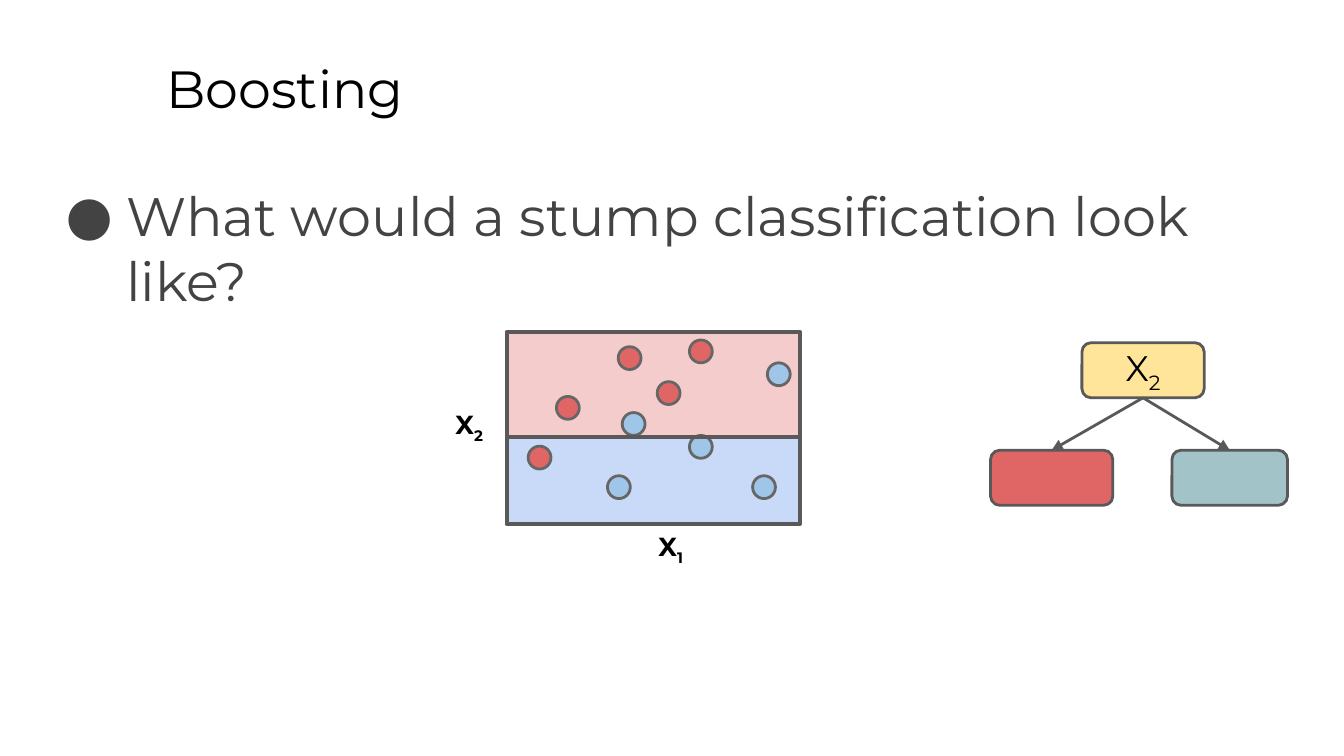
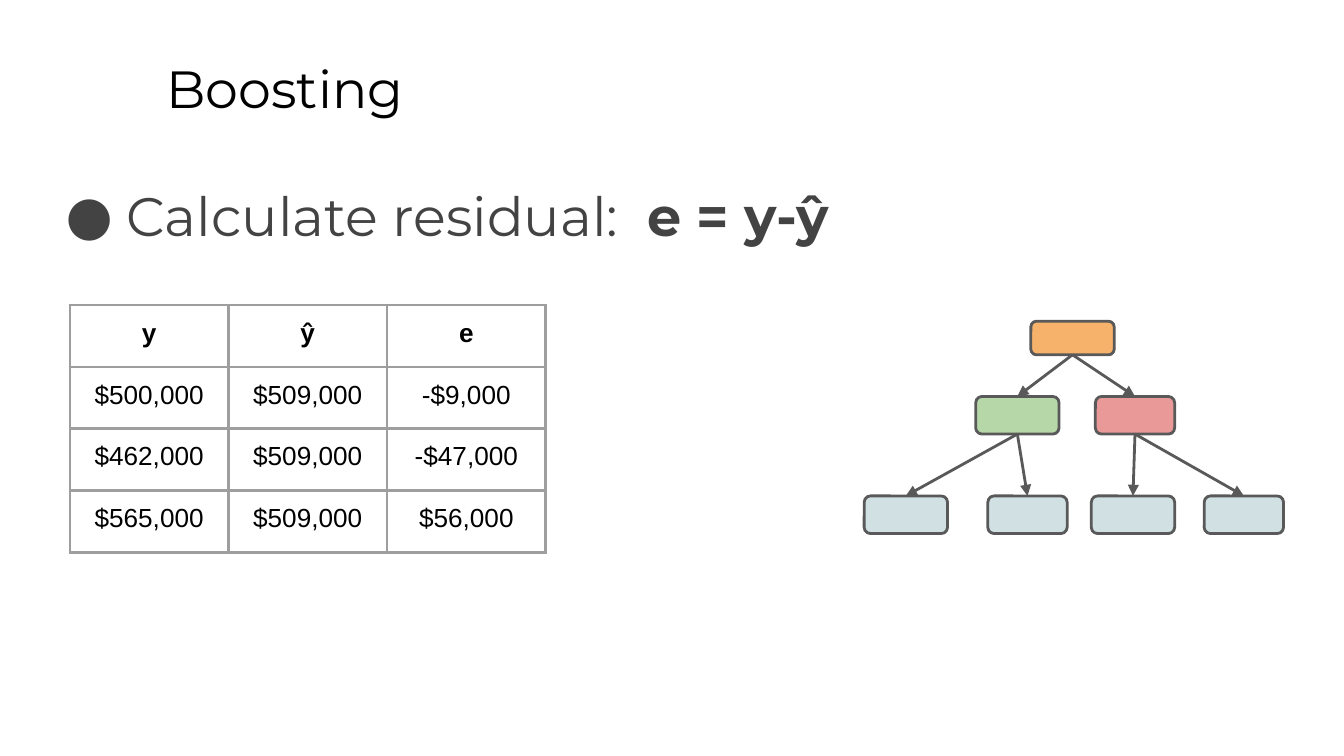
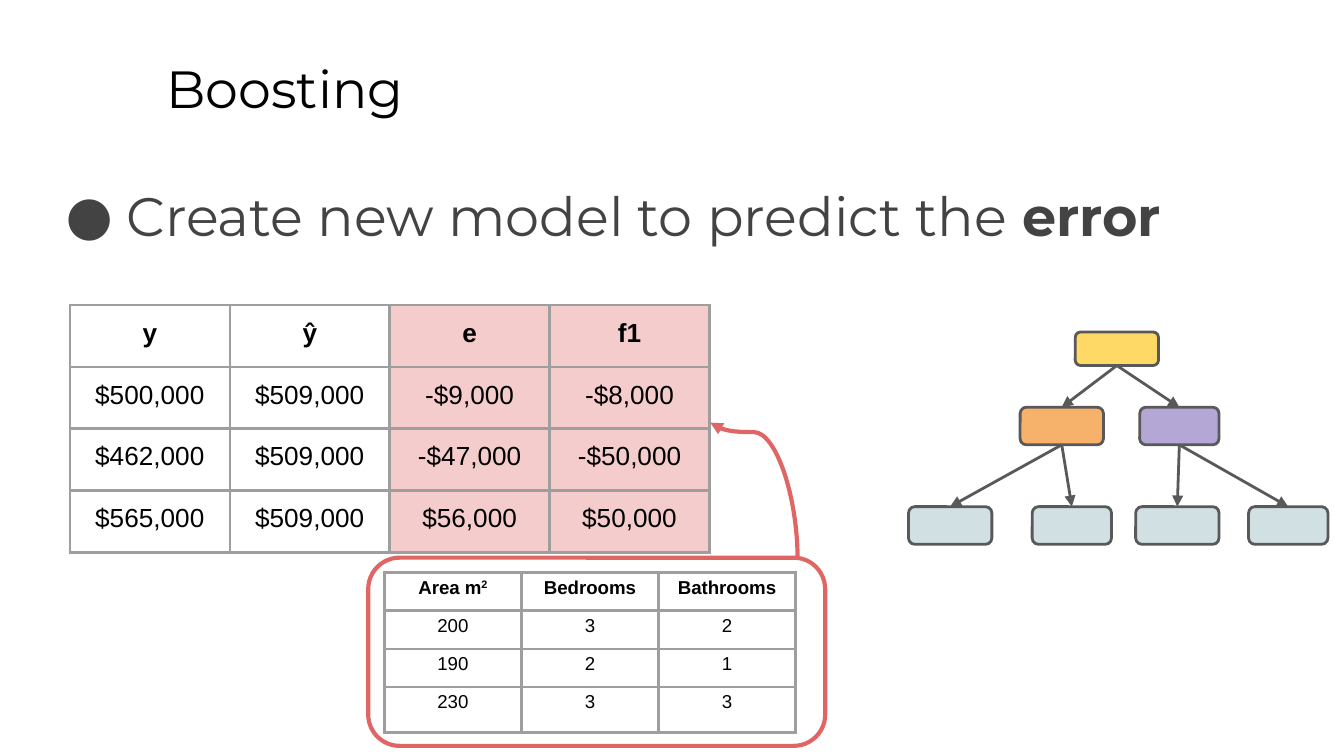
from lxml.etree import SubElement
from pptx import Presentation
from pptx.dml.color import RGBColor
from pptx.enum.shapes import MSO_CONNECTOR as CONN, MSO_SHAPE as SHAPE
from pptx.enum.text import MSO_ANCHOR as ANCHOR, PP_ALIGN as ALIGN
from pptx.oxml import parse_xml
from pptx.oxml.ns import nsdecls, qn
from pptx.util import Inches, Pt

prs = Presentation()
prs.slide_width, prs.slide_height = Inches(10), Inches(5.625)
UNIT = prs.slide_width // 100  # all lengths are hundredths of the slide width

FONT, TABLE_FONT = "Montserrat", "Arial"
BLACK, BODY, OUTLINE, DOT_LINE, BORDER = "000000", "434343", "595959", "666666", "9E9E9E"
RED, BLUE, PINK, PALE_BLUE, LEAF = "E06666", "9FC5E8", "F4CCCC", "C9DAF8", "D0E0E3"
MARGINS = dict.fromkeys(("margin_left", "margin_right", "margin_top", "margin_bottom"), UNIT)

# Node boxes relative to the tree; node i hangs from node (i - 1) // 2
STUMP = [(6.8, 0, 9.1, 4.1), (0, 8, 9.1, 4.1), (13.5, 8, 8.6, 4.1)]
FULL_TREE = [(12.4, 0, 6.2, 2.5), (8.3, 5.6, 6.2, 2.8), (17.2, 5.6, 5.9, 2.8),
             (0, 13, 6.2, 2.8), (9.2, 13, 5.9, 2.8), (16.9, 13, 6.2, 2.8), (25.3, 13, 5.9, 2.8)]


def rgb(value):
    return RGBColor.from_string(value)


def units(*values):
    return [round(v * UNIT) for v in values]


def set_all(obj, values):
    for name, value in values.items():
        setattr(obj, name, value)


def write(p, runs, size, color=BLACK, font=FONT, bold=False, align=None):
    """Fill a paragraph; a run is a (text, bold, baseline) tuple or a plain string."""
    p.alignment = align
    for run in runs:
        text, strong, baseline = (run, bold, 0) if isinstance(run, str) else run
        r = p.add_run()
        r.text = text
        set_all(r.font, {"size": Pt(size), "name": font, "bold": strong})
        r.font.color.rgb = rgb(color)
        if baseline:
            r.font._element.set("baseline", str(baseline * 1000))


def add_text(s, box, runs, size, **fmt):
    tf = s.shapes.add_textbox(*units(*box)).text_frame
    set_all(tf, {"word_wrap": True, **MARGINS})
    write(tf.paragraphs[0], runs, size, **fmt)
    return tf.paragraphs[0]


def add_box(s, kind, box, fill=None, line=OUTLINE, width=1.5):
    sp = s.shapes.add_shape(kind, *units(*box))
    sp.shadow.inherit = False
    if fill:
        sp.fill.solid()
        sp.fill.fore_color.rgb = rgb(fill)
    else:
        sp.fill.background()
    sp.line.color.rgb = rgb(line)
    sp.line.width = Pt(width)
    return sp


def add_line(s, kind, ends, color=OUTLINE, width=1.5, arrow=True):
    cn = s.shapes.add_connector(kind, *units(*ends))
    cn.line.color.rgb = rgb(color)
    cn.line.width = Pt(width)
    if arrow:
        SubElement(cn.line._get_or_add_ln(), qn("a:tailEnd"), type="triangle")
    SubElement(cn._element.spPr, qn("a:effectLst"))
    return cn


def add_page(runs, height=8):
    """Add a slide with the shared title and one bulleted line."""
    s = prs.slides.add_slide(prs.slide_layouts[6])
    add_text(s, (11.4, 3.2, 85.2, 6.3), ["Boosting"], 28)
    p = add_text(s, (3.4, 12.6, 95, height), runs, 29, color=BODY)
    pPr = p._p.get_or_add_pPr()
    pPr.set("marL", str(Inches(0.5)))
    pPr.set("indent", str(-Inches(0.45)))
    clr = SubElement(pPr, qn("a:buClr"))
    SubElement(clr, qn("a:srgbClr"), val=BODY)
    SubElement(pPr, qn("a:buFont"), typeface=FONT)
    SubElement(pPr, qn("a:buChar"), char="●")
    return s


def add_tree(s, left, top, layout, fills):
    nodes = []
    for i, ((x, y, w, h), fill) in enumerate(zip(layout, fills)):
        node = add_box(s, SHAPE.ROUNDED_RECTANGLE, (left + x, top + y, w, h), fill)
        nodes.append(node)
        if i:
            cn = add_line(s, CONN.STRAIGHT, (0, 0, 0, 0))
            cn.begin_connect(nodes[(i - 1) // 2], 2)
            cn.end_connect(node, 0)
    return nodes


def add_grid(s, left, top, col_width, row_heights, rows, size, tinted=(), spacing=None):
    """Add a bordered table with a bold first row and tinted columns."""
    n = len(rows[0])
    frame = s.shapes.add_table(len(rows), n, *units(left, top, col_width * n, sum(row_heights)))
    table = frame.table
    set_all(table, {"first_row": False, "horz_banding": False})
    for col in table.columns:
        col.width = units(col_width)[0]
    for i, (row, height) in enumerate(zip(rows, row_heights)):
        table.rows[i].height = units(height)[0]
        for j, value in enumerate(row):
            cell = table.cell(i, j)
            set_all(cell, MARGINS)
            if j in tinted:
                cell.fill.solid()
                cell.fill.fore_color.rgb = rgb(PINK)
            else:
                cell.fill.background()
            p = cell.text_frame.paragraphs[0]
            write(p, value if isinstance(value, list) else [value], size,
                  font=TABLE_FONT, bold=i == 0, align=ALIGN.CENTER)
            if spacing:
                p.line_spacing = spacing
            for k, side in enumerate(("lnL", "lnR", "lnT", "lnB")):
                cell._tc.get_or_add_tcPr().insert(k, parse_xml(
                    f'<a:{side} {nsdecls("a")} w="{Pt(1.5)}"><a:solidFill>'
                    f'<a:srgbClr val="{BORDER}"/></a:solidFill></a:{side}>'))


def add_scatter(s, left, top, width, height, split):
    """Draw two classified regions, their points and the axis names."""
    add_box(s, SHAPE.RECTANGLE, (left, top + split, width, height - split), PALE_BLUE, width=0.75)
    add_box(s, SHAPE.RECTANGLE, (left, top, width, split), PINK, width=0.75)
    add_box(s, SHAPE.RECTANGLE, (left, top, width, height), width=2.25)
    points = {RED: [(3.7, 4.8), (1.6, 8.5), (8.3, 1.1), (13.6, 0.6), (11.2, 3.7)],
              BLUE: [(19.4, 2.3), (18.3, 10.7), (8.6, 6), (13.6, 7.7), (7.5, 10.7)]}
    for fill, places in points.items():
        for x, y in places:
            add_box(s, SHAPE.OVAL, (left + x, top + y, 1.7, 1.7), fill, DOT_LINE)
    for digit, x, y in (("2", -4.8, 4.7), ("1", 10.3, 13.8)):
        add_text(s, (left + x, top + y, 4.5, 4.4), ["X", (digit, True, -25)], 14, bold=True)
    add_line(s, CONN.STRAIGHT, (left + width, top + split, left, top + split),
             width=2.25, arrow=False)


def stump_slide():
    s = add_page(["What would a stump classification look like?"], 12.7)
    add_scatter(s, 37.7, 24.7, 21.8, 14.3, 7.8)
    root = add_tree(s, 73.7, 25.5, STUMP, ["FFE599", RED, "A2C4C9"])[0]
    tf = root.text_frame
    set_all(tf, {"vertical_anchor": ANCHOR.MIDDLE, **MARGINS})
    write(tf.paragraphs[0], ["X", ("2", False, -25)], 19, align=ALIGN.CENTER)


RESIDUALS = [["y", "ŷ", "e"],
             ["$500,000", "$509,000", "-$9,000"],
             ["$462,000", "$509,000", "-$47,000"],
             ["$565,000", "$509,000", "$56,000"]]


def residual_slide():
    s = add_page(["Calculate residual:  ", ("e = y-ŷ", True, 0)])
    add_grid(s, 5.2, 22.7, 11.8, [4.6] * 4, RESIDUALS, 14)
    add_tree(s, 64.3, 23.9, FULL_TREE, ["F6B26B", "B6D7A8", "EA9999"] + [LEAF] * 4)


def error_model_slide():
    s = add_page(["Create new model to predict the ", ("error", True, 0)])
    predictions = ["f1", "-$8,000", "-$50,000", "$50,000"]
    rows = [row + [f1] for row, f1 in zip(RESIDUALS, predictions)]
    add_grid(s, 5.2, 22.7, 11.9, [4.6] * 4, rows, 14, tinted=(2, 3))
    add_tree(s, 67.6, 24.7, FULL_TREE, ["FFD966", "F6B26B", "B4A7D6"] + [LEAF] * 4)
    features = [[["Area m", ("2", True, 30)], "Bedrooms", "Bathrooms"],
                ["200", "3", "2"], ["190", "2", "1"], ["230", "3", "3"]]
    add_grid(s, 28.6, 42.6, 10.2, [2.6, 2.6, 2.6, 3.4], features, 10, spacing=0.5)
    add_box(s, SHAPE.ROUNDED_RECTANGLE, (27.4, 41.5, 34, 14), line=RED, width=2.25)
    curve = add_line(s, CONN.CURVE, (61.2, 33.3, 51, 39.8), RED, 2.25)
    spPr = curve._element.spPr
    spPr.find(qn("a:xfrm")).set("rot", str(90 * 60000))
    SubElement(spPr.find(qn("a:prstGeom")).find(qn("a:avLst")), qn("a:gd"),
               name="adj1", fmla="val 93100")


if __name__ == "__main__":
    stump_slide()
    residual_slide()
    error_model_slide()
    prs.save("out.pptx")
